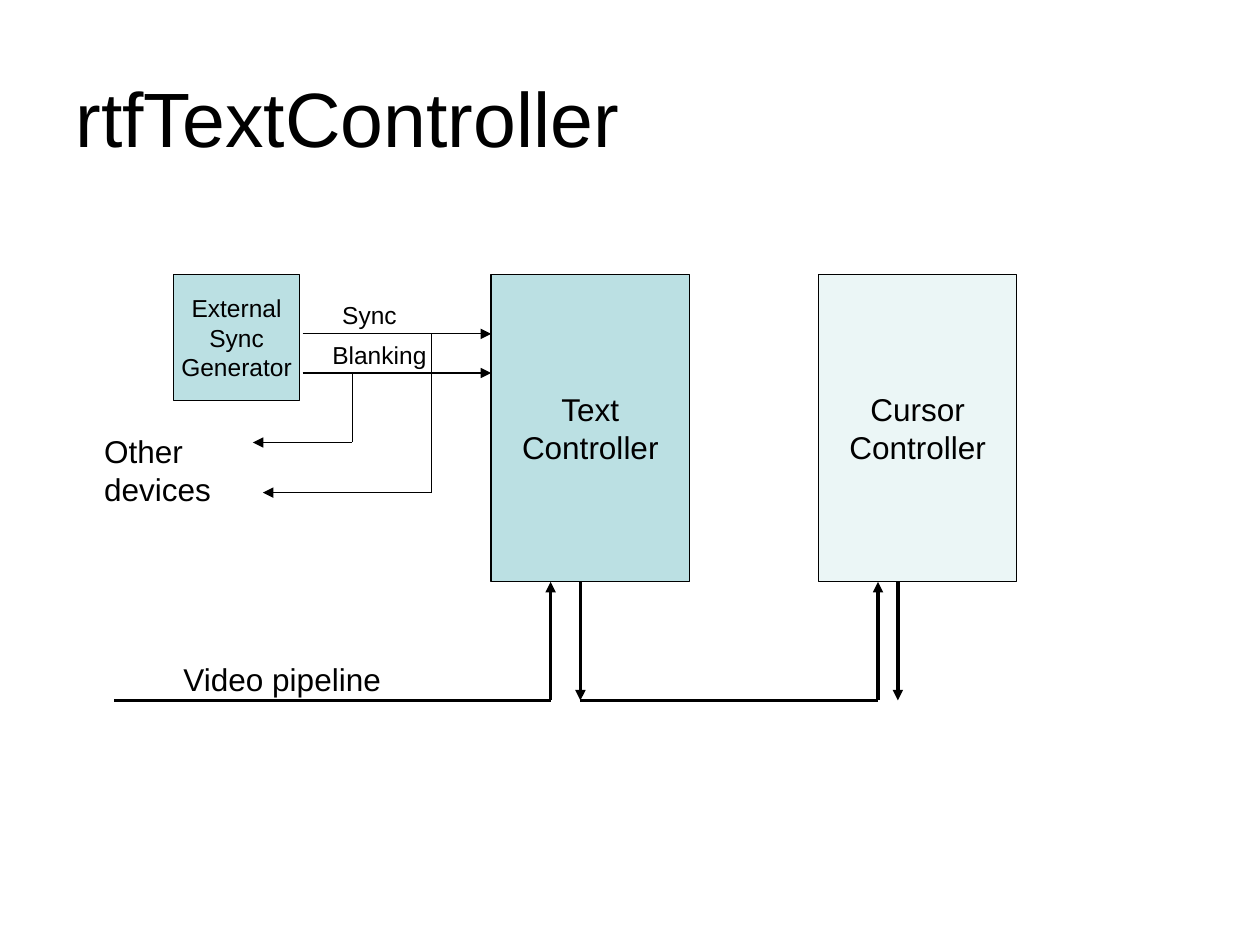
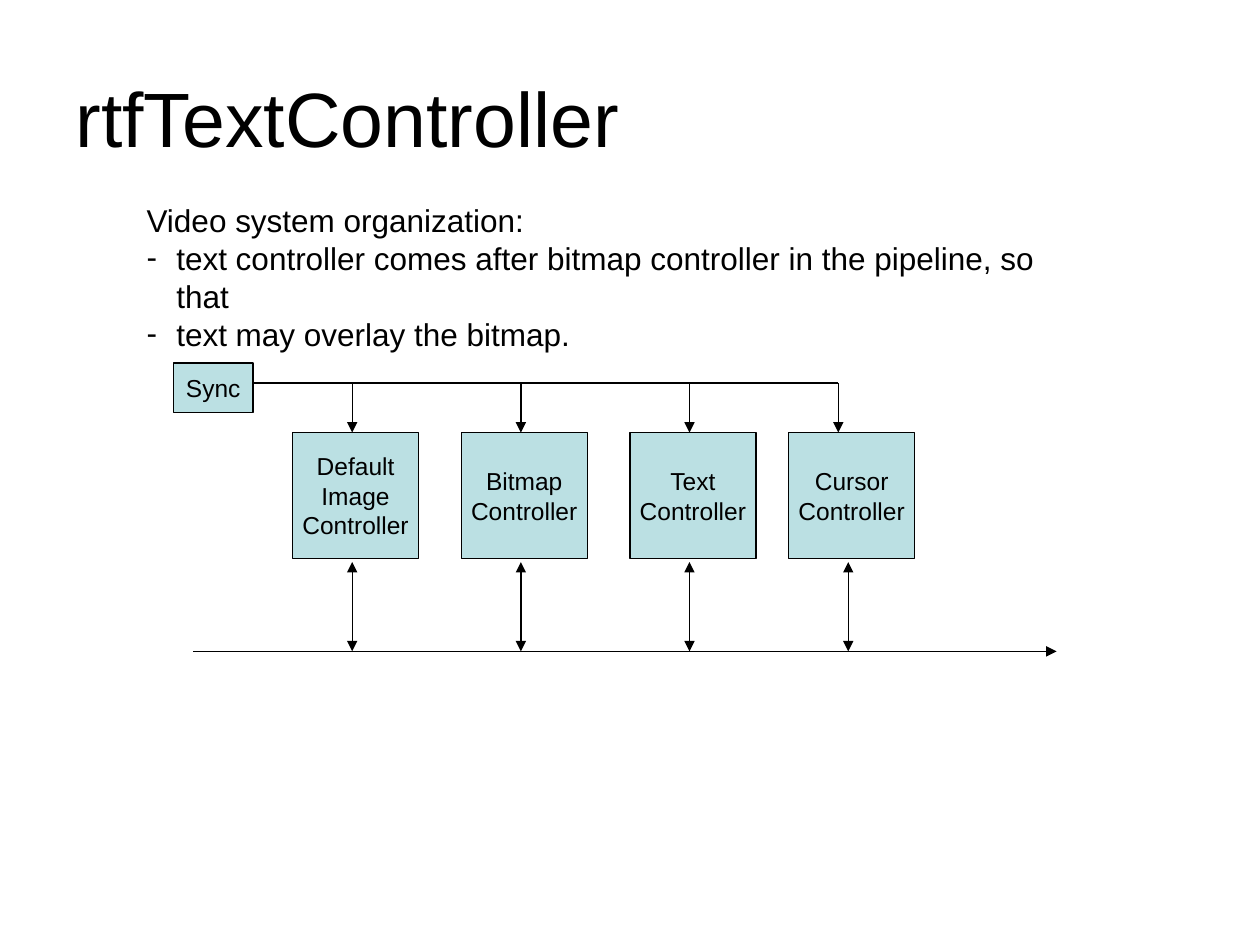
from dataclasses import dataclass
from itertools import pairwise

from lxml import etree
from pptx import Presentation
from pptx.dml.color import RGBColor
from pptx.enum.shapes import MSO_CONNECTOR, MSO_SHAPE
from pptx.enum.text import MSO_ANCHOR, MSO_AUTO_SIZE, PP_ALIGN
from pptx.oxml.ns import qn
from pptx.presentation import Presentation as Deck
from pptx.slide import Slide
from pptx.text.text import TextFrame
from pptx.util import Cm, Pt

BLACK = RGBColor(0x00, 0x00, 0x00)
PALE_TEAL = RGBColor(0xBB, 0xE0, 0xE3)
FONT = "Arial"
TITLE = "rtfTextController"
TITLE_SIZE, TEXT_SIZE, SMALL_SIZE = 44, 18, 14
THIN, THICK = 0.75, 2
TITLE_AND_CONTENT, TITLE_ONLY = 1, 5
LEFT, CENTER = PP_ALIGN.LEFT, PP_ALIGN.CENTER
TOP, MIDDLE = MSO_ANCHOR.TOP, MSO_ANCHOR.MIDDLE
NO_AUTOFIT, GROW = MSO_AUTO_SIZE.NONE, MSO_AUTO_SIZE.SHAPE_TO_FIT_TEXT
RECTANGLE, STRAIGHT = MSO_SHAPE.RECTANGLE, MSO_CONNECTOR.STRAIGHT

Point = tuple[float, float]


@dataclass(frozen=True)
class Block:
    """A device rectangle; lengths in centimetres, opacity in percent."""
    lines: tuple[str, ...]
    left: float
    top: float
    width: float = 2.54
    height: float = 2.54
    size: int = SMALL_SIZE
    opacity: int = 100


@dataclass(frozen=True)
class Label:
    lines: tuple[str, ...]
    left: float
    top: float
    width: float
    height: float
    size: int = TEXT_SIZE


@dataclass(frozen=True)
class Wire:
    """Straight segments through the points, with arrowheads at the ends."""
    points: tuple[Point, ...]
    weight: float = THIN
    start_arrow: bool = False
    end_arrow: bool = True


def write_lines(frame: TextFrame, lines: tuple[str, ...], size: int,
                align: PP_ALIGN, anchor: MSO_ANCHOR) -> None:
    frame.vertical_anchor = anchor
    for index, line in enumerate(lines):
        para = frame.add_paragraph() if index else frame.paragraphs[0]
        para.alignment = align
        para.space_before = Pt(0)
        span = para.add_run()
        span.text = line
        span.font.name = FONT
        span.font.size = Pt(size)
        span.font.color.rgb = BLACK


def draw_block(page: Slide, block: Block) -> None:
    box = page.shapes.add_shape(RECTANGLE, Cm(block.left), Cm(block.top),
                                Cm(block.width), Cm(block.height))
    box.shadow.inherit = False
    box.fill.solid()
    box.fill.fore_color.rgb = PALE_TEAL
    if block.opacity < 100:
        color = box.fill._xPr.find(qn("a:solidFill"))[0]
        etree.SubElement(color, qn("a:alpha"), val=str(block.opacity * 1000))
    box.line.color.rgb = BLACK
    box.line.width = Pt(THIN)
    box.text_frame.word_wrap = False
    write_lines(box.text_frame, block.lines, block.size, CENTER, MIDDLE)


def draw_label(page: Slide, label: Label) -> None:
    box = page.shapes.add_textbox(Cm(label.left), Cm(label.top),
                                  Cm(label.width), Cm(label.height))
    box.text_frame.word_wrap = False
    box.text_frame.auto_size = GROW
    write_lines(box.text_frame, label.lines, label.size, LEFT, TOP)


def draw_wire(page: Slide, wire: Wire) -> None:
    segments = list(pairwise(wire.points))
    for index, (start, end) in enumerate(segments):
        line = page.shapes.add_connector(STRAIGHT, *map(Cm, start + end))
        line.line.color.rgb = BLACK
        line.line.width = Pt(wire.weight)
        outline = line.line._get_or_add_ln()
        if wire.start_arrow and index == 0:
            etree.SubElement(outline, qn("a:headEnd"), type="triangle")
        if wire.end_arrow and index == len(segments) - 1:
            etree.SubElement(outline, qn("a:tailEnd"), type="triangle")
        etree.SubElement(line._element.spPr, qn("a:effectLst"))


def add_page(deck: Deck, layout: int) -> Slide:
    page = deck.slides.add_slide(deck.slide_layouts[layout])
    title = page.shapes.title
    title.left, title.top, title.width, title.height = map(
        Cm, (1.27, 0.76, 22.86, 3.18))
    title.text_frame.auto_size = NO_AUTOFIT
    write_lines(title.text_frame, (TITLE,), TITLE_SIZE, LEFT, MIDDLE)
    return page


def fill_list(page: Slide, heading: str, items: tuple[str, ...]) -> None:
    """Put a plain heading and dashed items in the body placeholder."""
    body = page.placeholders[1]
    body.left, body.top, body.width, body.height = map(
        Cm, (2.7, 3.93, 19.25, 2.54))
    frame = body.text_frame
    frame.word_wrap = True
    frame.auto_size = NO_AUTOFIT
    write_lines(frame, (heading, *items), TEXT_SIZE, LEFT, TOP)
    for index, para in enumerate(frame.paragraphs):
        properties = para._p.get_or_add_pPr()
        indent = Cm(0.6) if index else 0
        properties.set("marL", str(indent))
        properties.set("indent", str(-indent))
        if index:
            etree.SubElement(properties, qn("a:buFont"), typeface=FONT)
            etree.SubElement(properties, qn("a:buChar"), char="-")
        else:
            etree.SubElement(properties, qn("a:buNone"))


def build_connections(deck: Deck) -> None:
    page = add_page(deck, TITLE_ONLY)
    top, bottom, pipeline = 5.53, 11.73, 14.12
    text_left, cursor_left = 9.9, 16.5
    sync, blanking = 6.73, 7.52
    large = {"width": 4, "height": bottom - top, "size": TEXT_SIZE}
    blocks = (
        Block(("Text", "Controller"), text_left, top, **large),
        Block(("External", "Sync", "Generator"), 3.5, top),
        Block(("Cursor", "Controller"), cursor_left, top, opacity=29, **large),
    )
    wires = (
        Wire(((6.1, sync), (text_left, sync))),
        Wire(((6.1, blanking), (text_left, blanking))),
        Wire(((7.1, blanking), (7.1, 8.92), (5.1, 8.92))),
        Wire(((8.7, sync), (8.7, 9.93), (5.3, 9.93))),
        Wire(((2.3, pipeline), (11.1, pipeline), (11.1, bottom)), THICK),
        Wire(((11.7, bottom), (11.7, pipeline)), THICK),
        Wire(((11.7, pipeline), (17.7, pipeline), (17.7, bottom)), THICK),
        Wire(((18.1, bottom), (18.1, pipeline)), THICK),
    )
    labels = (
        Label(("Sync",), 6.65, 5.92, 1.65, 0.86, SMALL_SIZE),
        Label(("Blanking",), 6.45, 6.73, 2.45, 0.86, SMALL_SIZE),
        Label(("Other", "devices"), 1.85, 8.59, 2.7, 1.78),
        Label(("Video pipeline",), 3.45, 13.18, 4.55, 1.02),
    )
    for block in blocks:
        draw_block(page, block)
    for wire in wires:
        draw_wire(page, wire)
    for label in labels:
        draw_label(page, label)


def build_organization(deck: Deck) -> None:
    page = add_page(deck, TITLE_AND_CONTENT)
    fill_list(page, "Video system organization:", (
        "text controller comes after bitmap controller in the pipeline, so that",
        "text may overlay the bitmap.",
    ))
    sync_line, top, pipeline_end, pipeline = 7.72, 8.72, 11.33, 13.13
    sync_right, last_drop = 5.1, 16.9
    controllers = (
        Block(("Default", "Image", "Controller"), 5.9, top),
        Block(("Bitmap", "Controller"), 9.3, top),
        Block(("Text", "Controller"), 12.7, top),
        Block(("Cursor", "Controller"), 15.9, top),
    )
    draw_block(page, Block(("Sync",), 3.5, 7.32, 1.6, 1))
    draw_wire(page, Wire(((3.9, pipeline), (21.3, pipeline))))
    draw_wire(page, Wire(((sync_right, sync_line), (last_drop, sync_line),
                          (last_drop, top))))
    for controller in controllers:
        draw_block(page, controller)
        tap = controller.left + 1.2
        draw_wire(page, Wire(((tap, pipeline), (tap, pipeline_end)),
                             start_arrow=True))
        if controller is not controllers[-1]:
            draw_wire(page, Wire(((tap, sync_line), (tap, top))))


def main() -> None:
    deck = Presentation()
    deck.slide_width, deck.slide_height = Cm(25.4), Cm(19.05)
    build_connections(deck)
    build_organization(deck)
    deck.save("out.pptx")


if __name__ == "__main__":
    main()
